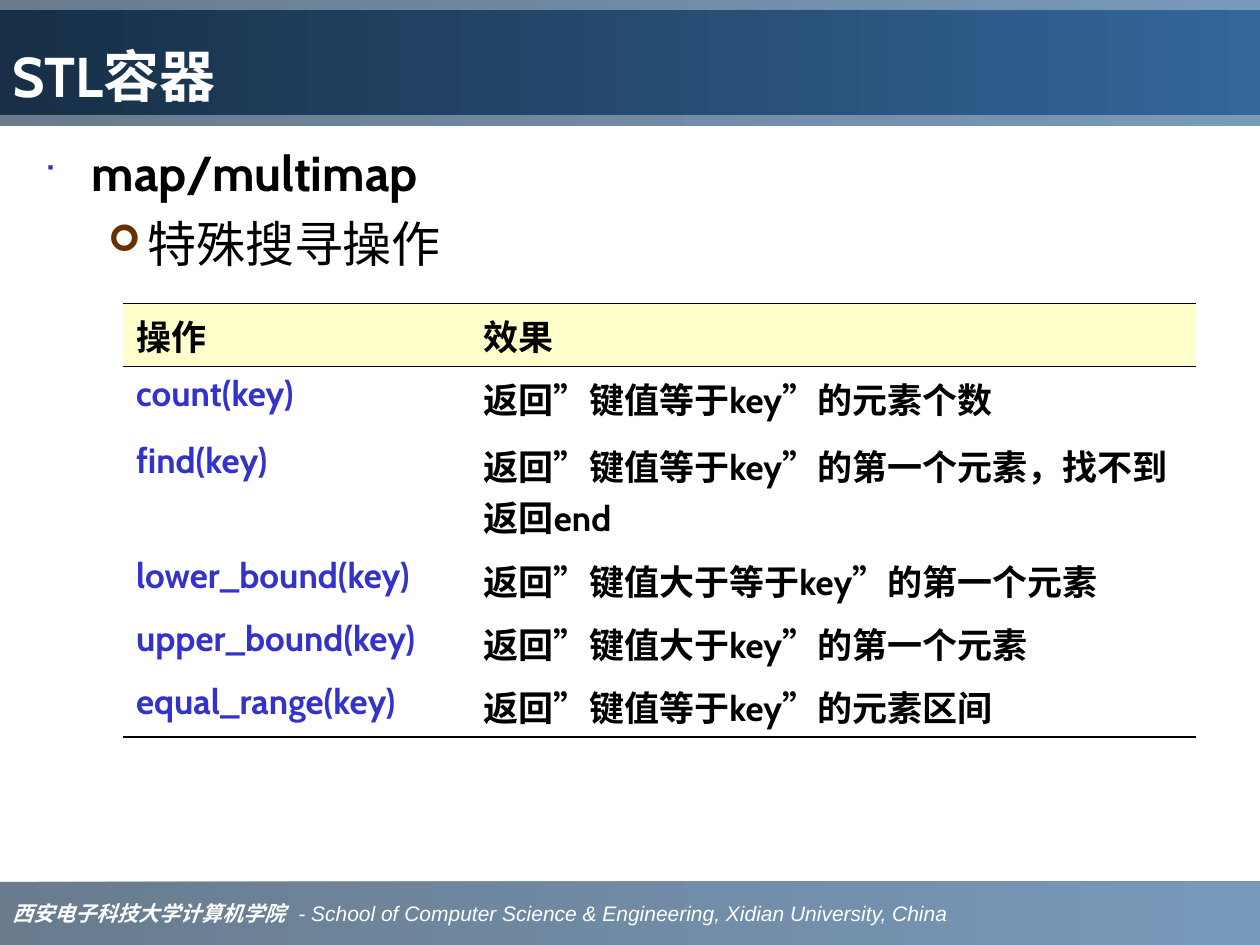
from lxml import etree
from pptx import Presentation
from pptx.dml.color import RGBColor
from pptx.enum import shapes, text
from pptx.oxml.ns import qn
from pptx.util import Inches, Pt

COLORS = {"navy": "1C3853", "deep": "182F47", "blue": "336699", "white": "FFFFFF",
          "black": "000000", "key": "3333CC", "brown": "663300", "header": "FFFFCC"}
LATIN, SERIF, SANS, SYMBOL = "Cabin", "Times New Roman", "Arial", "Wingdings"
NO_STYLE = "{2D5ABB26-0587-4C30-8999-92F81FD0307C}"

# Operation, condition on the key, what is returned
OPERATIONS = [
    ("count(key)", "键值等于key", "的元素个数"),
    ("find(key)", "键值等于key", "的第一个元素，找不到返回end"),
    ("lower_bound(key)", "键值大于等于key", "的第一个元素"),
    ("upper_bound(key)", "键值大于key", "的第一个元素"),
    ("equal_range(key)", "键值等于key", "的元素区间"),
]


def rgb(name):
    return RGBColor.from_string(COLORS[name])


def add_run(p, words, size, color="black", font=LATIN, bold=True, italic=False):
    r = p.add_run()
    r.text = words
    f = r.font
    f.size, f.name, f.bold, f.italic = Pt(size), font, bold, italic
    f.color.rgb = rgb(color)


def add_band(slide, box, start, opacity=None):
    """Rectangle with a left-to-right gradient."""
    sp = slide.shapes.add_shape(shapes.MSO_SHAPE.RECTANGLE, *map(Inches, box))
    sp.shadow.inherit = False
    sp.line.fill.background()
    sp.fill.gradient()
    sp.fill.gradient_angle = 0
    for stop, name, place in zip(sp.fill.gradient_stops, (start, "blue"), (0, 1)):
        stop.color.rgb = rgb(name)
        stop.position = place
    if opacity:
        for clr in sp._element.spPr.iter(qn("a:srgbClr")):
            etree.SubElement(clr, qn("a:alpha"), val=str(opacity * 1000))
    tf = sp.text_frame
    tf.paragraphs[0].alignment = text.PP_ALIGN.LEFT
    return tf


def add_title(slide, box):
    left, top, width, height = box
    add_band(slide, box, "navy", 66)
    tf = add_band(slide, (left, top + 0.08, width, height - 0.17), "deep")
    tf.vertical_anchor = text.MSO_ANCHOR.BOTTOM
    add_run(tf.paragraphs[0], "STL容器", 32, "white")


def add_footer(slide, box):
    tf = add_band(slide, box, "navy", 66)
    tf.vertical_anchor = text.MSO_ANCHOR.MIDDLE
    tf.word_wrap = False
    p = tf.paragraphs[0]
    tabs = etree.SubElement(p._p.get_or_add_pPr(), qn("a:tabLst"))
    etree.SubElement(tabs, qn("a:tab"), pos=str(Inches(2.27)), algn="l")
    add_run(p, "西安电子科技大学计算机学院\t", 12, "white", SERIF, italic=True)
    add_run(p, "- School of Computer Science & Engineering, Xidian University, China",
            12, "white", SANS, bold=False, italic=True)


def set_bullet(p, char, color, percent, margin, hanging):
    pPr = p._p.get_or_add_pPr()
    pPr.set("marL", str(Inches(margin)))
    pPr.set("indent", str(-Inches(hanging)))
    clr = etree.SubElement(pPr, qn("a:buClr"))
    etree.SubElement(clr, qn("a:srgbClr"), val=COLORS[color])
    etree.SubElement(pPr, qn("a:buSzPct"), val=str(percent * 1000))
    etree.SubElement(pPr, qn("a:buFont"), typeface=SYMBOL)
    etree.SubElement(pPr, qn("a:buChar"), char=char)


def add_body(slide, box):
    tf = slide.shapes.add_textbox(*map(Inches, box)).text_frame
    tf.word_wrap = True
    p = tf.paragraphs[0]
    set_bullet(p, "■", "key", 60, 0.38, 0.38)
    add_run(p, "map/multimap", 28)
    p = tf.add_paragraph()
    p.level = 1
    p.space_before = Pt(7)
    set_bullet(p, "➢", "brown", 75, 0.82, 0.31)
    add_run(p, "特殊搜寻操作", 28, bold=False)


def set_borders(cell, top=None, bottom=None):
    """Set the upper and lower edge; borders come before the fill in tcPr."""
    tcPr = cell._tc.get_or_add_tcPr()
    edges = (("lnL", None), ("lnR", None), ("lnT", top), ("lnB", bottom))
    for i, (side, width) in enumerate(edges):
        ln = etree.Element(qn("a:" + side), w=str(Pt(width or 0)))
        if width:
            fill = etree.SubElement(ln, qn("a:solidFill"))
            etree.SubElement(fill, qn("a:srgbClr"), val=COLORS["black"])
        else:
            etree.SubElement(ln, qn("a:noFill"))
        tcPr.insert(i, ln)


def add_operations(slide, box):
    rows = len(OPERATIONS) + 1
    table = slide.shapes.add_table(rows, 2, *map(Inches, box)).table
    table.first_row = table.horz_banding = False
    table._tbl.tblPr.find(qn("a:tableStyleId")).text = NO_STYLE
    for col, width in zip(table.columns, (2.76, 5.75)):
        col.width = Inches(width)
    for row, height in zip(table.rows, (0.5, 0.53, 0.91, 0.5, 0.5, 0.5)):
        row.height = Inches(height)

    # Header
    for cell, words in zip(table.rows[0].cells, ("操作", "效果")):
        cell.fill.solid()
        cell.fill.fore_color.rgb = rgb("header")
        add_run(cell.text_frame.paragraphs[0], words, 20)
        set_borders(cell, top=1.08, bottom=0.75)

    # Operations and their effects
    for i, (call, condition, result) in enumerate(OPERATIONS, 1):
        name, effect = table.rows[i].cells
        add_run(name.text_frame.paragraphs[0], call, 20, "key")
        p = effect.text_frame.paragraphs[0]
        for words, font in (("返回", LATIN), ("”", SERIF), (condition, LATIN),
                            ("”", SERIF), (result, LATIN)):
            add_run(p, words, 20, font=font)
        for cell in (name, effect):
            cell.fill.background()
            set_borders(cell, top=0.75 if i == 1 else None,
                        bottom=1.08 if i == rows - 1 else None)


def main():
    prs = Presentation()
    prs.slide_width, prs.slide_height = Inches(10), Inches(7.5)
    slide = prs.slides.add_slide(prs.slide_layouts[6])
    add_footer(slide, (0, 7, 10, 0.5))
    add_title(slide, (0, 0, 10, 1))
    add_body(slide, (0.25, 1.08, 9.42, 5.83))
    add_operations(slide, (0.98, 2.41, 8.51, 3.44))
    prs.save("out.pptx")


if __name__ == "__main__":
    main()
